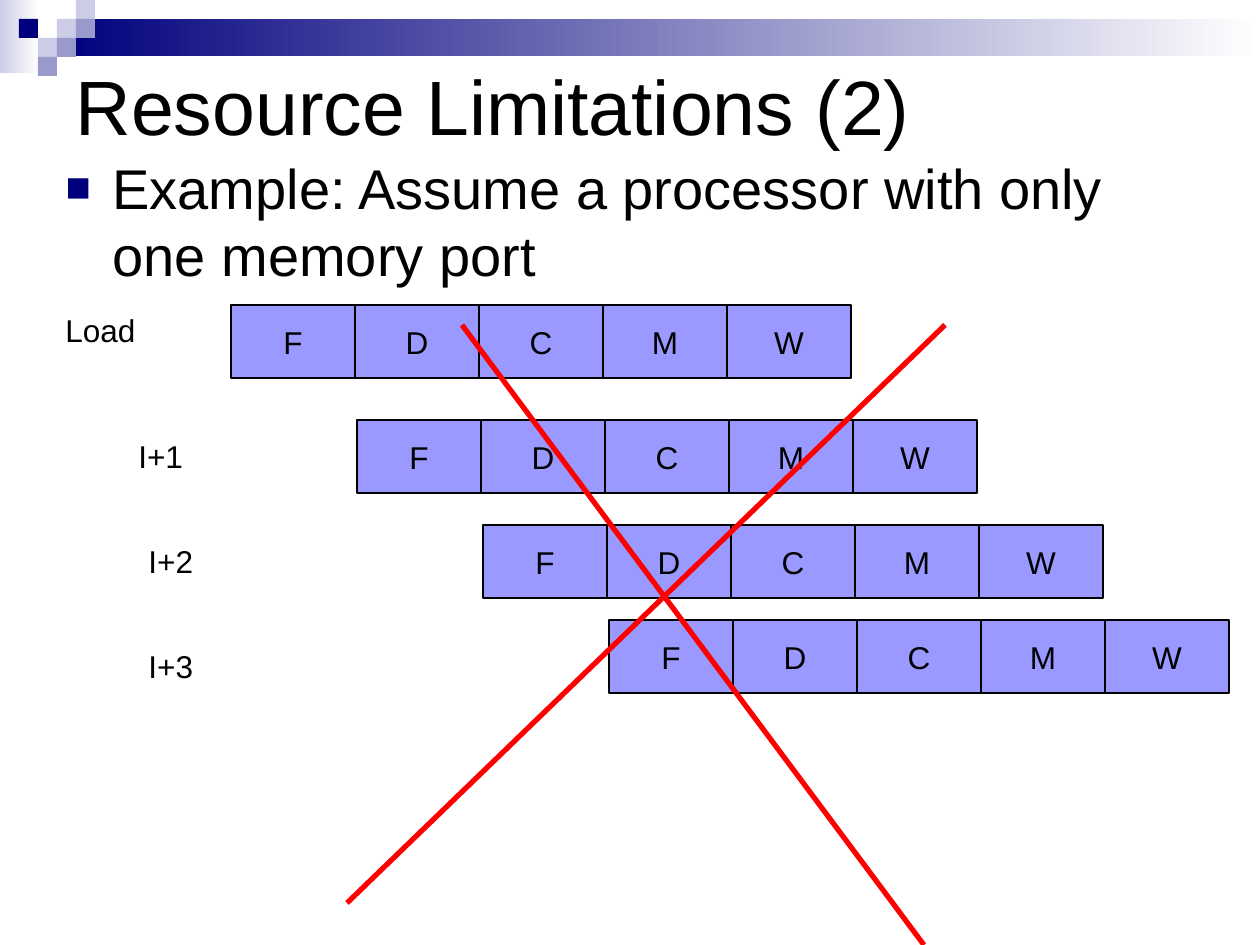
from dataclasses import dataclass

from lxml.etree import SubElement
from pptx import Presentation
from pptx.dml.color import RGBColor
from pptx.enum.shapes import MSO_CONNECTOR, MSO_SHAPE
from pptx.enum.text import MSO_ANCHOR, MSO_AUTO_SIZE, PP_ALIGN
from pptx.oxml.ns import qn
from pptx.util import Emu, Pt

EMU_PER_PX = 914400 / 126


@dataclass(frozen=True)
class Theme:
    font: str = "Arial"
    text: str = "000000"
    navy: str = "00007D"
    violet: str = "9999CC"
    lavender: str = "CCCCE6"
    white: str = "FFFFFF"
    stage: str = "9999FF"
    cross: str = "FF0000"
    title_size: int = 44
    body_size: int = 32
    label_size: int = 18


@dataclass(frozen=True)
class Box:
    left: int
    top: int
    width: int
    height: int


@dataclass(frozen=True)
class Instruction:
    label: str
    label_box: Box
    stages_top: int


THEME = Theme()
STAGES = "FDCMW"
STAGE_WIDTH, STAGE_HEIGHT = 124, 73
FIRST_STAGE_LEFT, CYCLE_STEP = 231, 126
TILE = 19

INSTRUCTIONS = [
    Instruction("Load", Box(53, 305, 189, 50), 305),
    Instruction("I+1", Box(126, 431, 147, 50), 420),
    Instruction("I+2", Box(136, 536, 95, 50), 525),
    Instruction("I+3", Box(136, 641, 95, 50), 620),
]
HEADER_BARS = [
    (Box(0, 0, 39, 73), THEME.lavender),
    (Box(57, 19, 1203, 37), THEME.navy),
]
# Column, row and colour of each tile in the corner mosaic
TILES = [
    (3, 1, THEME.lavender),
    (4, 0, THEME.lavender),
    (4, 1, THEME.violet),
    (2, 2, THEME.lavender),
    (1, 1, THEME.navy),
    (3, 2, THEME.violet),
    (2, 3, THEME.violet),
]
CROSS_LINES = [((945, 325), (347, 903)), ((462, 325), (924, 945))]


def px(length: int) -> Emu:
    return Emu(round(length * EMU_PER_PX))


def extent(box: Box) -> list[Emu]:
    return [px(value) for value in (box.left, box.top, box.width, box.height)]


def apply(target, formats: dict) -> None:
    for name, value in formats.items():
        setattr(target, name, value)


def write(shape, text: str, size: int, frame_formats: dict, alignment=PP_ALIGN.LEFT):
    frame = shape.text_frame
    frame.text = text
    apply(frame, {"auto_size": MSO_AUTO_SIZE.NONE, "word_wrap": True} | frame_formats)
    paragraph = frame.paragraphs[0]
    apply(paragraph, {"alignment": alignment, "space_before": Pt(0)})
    font = paragraph.runs[0].font
    apply(font, {"name": THEME.font, "size": Pt(size)})
    font.color.rgb = RGBColor.from_string(THEME.text)
    return paragraph


def add_rectangle(shapes, box: Box, color: str):
    shape = shapes.add_shape(MSO_SHAPE.RECTANGLE, *extent(box))
    shape.shadow.inherit = False
    shape.fill.solid()
    shape.fill.fore_color.rgb = RGBColor.from_string(color)
    shape.line.fill.background()
    return shape


def add_header(shapes) -> None:
    for box, color in HEADER_BARS:
        bar = add_rectangle(shapes, box, color)
        bar.fill.gradient()
        bar.fill.gradient_angle = 0
        for stop, stop_color in zip(bar.fill.gradient_stops, (color, THEME.white)):
            stop.color.rgb = RGBColor.from_string(stop_color)
    for column, row, color in TILES:
        add_rectangle(shapes, Box(column * TILE, row * TILE, TILE, TILE), color)


def place(placeholder, box: Box) -> None:
    apply(placeholder, dict(zip(("left", "top", "width", "height"), extent(box))))


def add_square_bullet(paragraph) -> None:
    properties = paragraph._p.get_or_add_pPr()
    properties.set("marL", str(px(47)))
    properties.set("indent", str(-px(47)))
    color = SubElement(properties, qn("a:buClr"))
    SubElement(color, qn("a:srgbClr"), val=THEME.navy)
    SubElement(properties, qn("a:buSzPct"), val="75000")
    SubElement(properties, qn("a:buFont"), typeface=THEME.font)
    SubElement(properties, qn("a:buChar"), char="■")


def add_instruction(shapes, instruction: Instruction, cycle: int) -> None:
    """Draw one labelled pipeline row, starting at the given clock cycle."""
    row = shapes.add_group_shape()
    left = FIRST_STAGE_LEFT + cycle * CYCLE_STEP
    for index, stage in enumerate(STAGES):
        box = Box(left + index * STAGE_WIDTH, instruction.stages_top, STAGE_WIDTH, STAGE_HEIGHT)
        cell = add_rectangle(row.shapes, box, THEME.stage)
        cell.line.color.rgb = RGBColor.from_string(THEME.text)
        cell.line.width = Pt(0.75)
        cell_format = {"vertical_anchor": MSO_ANCHOR.MIDDLE, "word_wrap": False}
        write(cell, stage, THEME.label_size, cell_format, PP_ALIGN.CENTER)
    label = shapes.add_textbox(*extent(instruction.label_box))
    write(label, instruction.label, THEME.label_size, {"vertical_anchor": MSO_ANCHOR.TOP})


def add_cross_line(shapes, start: tuple[int, int], end: tuple[int, int]) -> None:
    points = [px(value) for value in start + end]
    line = shapes.add_connector(MSO_CONNECTOR.STRAIGHT, *points)
    line.line.color.rgb = RGBColor.from_string(THEME.cross)
    line.line.width = Pt(3)
    SubElement(line._element.spPr, qn("a:effectLst"))


def main() -> None:
    presentation = Presentation()
    apply(presentation, {"slide_width": px(1260), "slide_height": px(945)})
    slide = presentation.slides.add_slide(presentation.slide_layouts[1])
    shapes = slide.shapes
    add_header(shapes)

    title, body = slide.placeholders
    place(title, Box(63, 42, 1134, 126))
    write(title, "Resource Limitations (2)", THEME.title_size,
          {"vertical_anchor": MSO_ANCHOR.MIDDLE})
    place(body, Box(53, 147, 1165, 725))
    paragraph = write(body, "Example: Assume a processor with only one memory port",
                      THEME.body_size, {"vertical_anchor": MSO_ANCHOR.TOP})
    add_square_bullet(paragraph)

    for cycle, instruction in enumerate(INSTRUCTIONS):
        add_instruction(shapes, instruction, cycle)
    for start, end in CROSS_LINES:
        add_cross_line(shapes, start, end)
    presentation.save("out.pptx")


if __name__ == "__main__":
    main()
